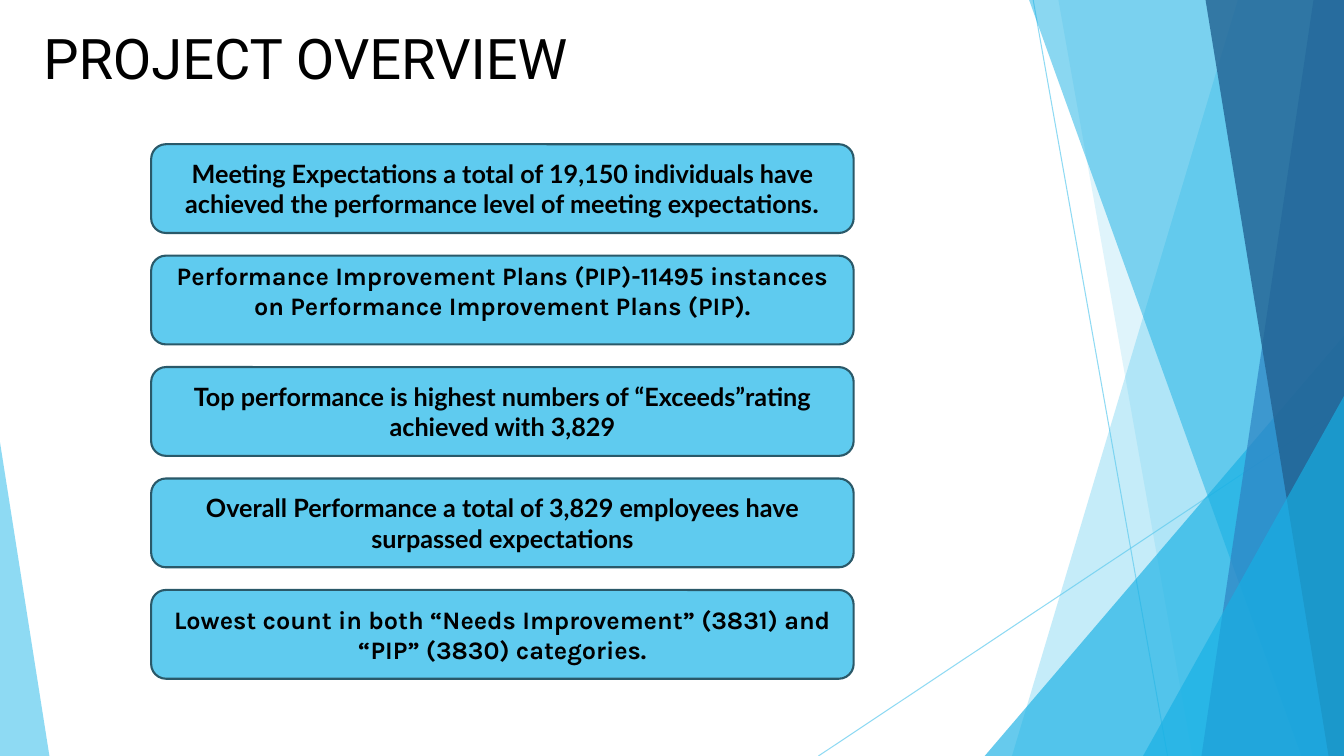
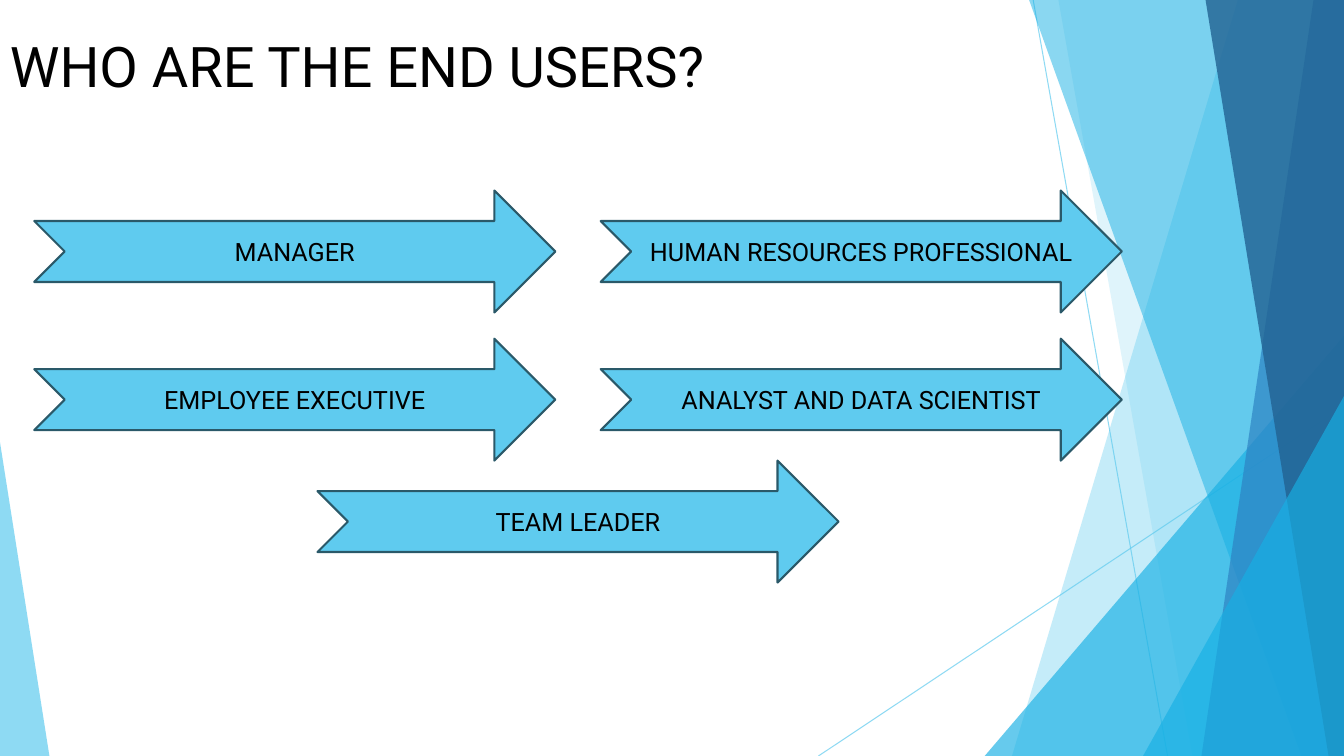
"""Build the project overview and end users slides."""
import lxml.etree
import pptx
import pptx.dml.color
import pptx.enum.shapes
import pptx.enum.text
import pptx.oxml.ns
import pptx.util

Pt = pptx.util.Pt
SHAPES = pptx.enum.shapes.MSO_SHAPE
ANCHOR = pptx.enum.text.MSO_ANCHOR
ALIGN = pptx.enum.text.PP_ALIGN

WIDTH, HEIGHT = 960, 540
SKY, CYAN, BLUE, NAVY = "5FCBEF", "17B0E4", "2E83C3", "226292"
OUTLINE, BLACK = "2A5969", "000000"

RAYS = [(738, 0, 834, 540), (960, 290.2, 584.6, 540)]
FACETS = [
    ("panel", (884.2, 722.9), SKY, 36),
    ("panel", (756, 851.8), SKY, 20),
    ("triangle", (703.4, 239.8, 256.6, 1), CYAN, 66),
    ("panel", (735.1, 929.5), CYAN, 50),
    ("panel", (938.2, 858.2), BLUE, 70),
    ("panel", (861.1, 949), NAVY, 80),
    ("triangle", (816.5, 283, 143.5, 1), CYAN, 66),
    ("triangle", (0, 316, 35.3, 0), SKY, 70),
]

OVERVIEW = ("PROJECT OVERVIEW", (23.8, 13, 562.3, 55.4))
FINDINGS = [
    ([("Meeting Expectations a total of 19,150 individuals have achieved the "
       "performance level of meeting expectations", "Lato"), (".", "Roboto")], ANCHOR.MIDDLE),
    ([("Performance Improvement Plans (PIP)-11495 instances on "
       "Performance Improvement Plans (PIP).", "Karla")], ANCHOR.TOP),
    ([("Top performance is highest numbers of “Exceeds”rating achieved with 3,829",
       "Lato")], ANCHOR.MIDDLE),
    ([("Overall Performance a total of 3,829 employees have surpassed expectations",
       "Lato")], ANCHOR.MIDDLE),
    ([("Lowest count in both “Needs Improvement” (3831) and “PIP” (3830) categories.",
       "Karla")], ANCHOR.MIDDLE),
]
FINDING_LEFT, FINDING_TOP, FINDING_STEP = 108, 103, 79.6
FINDING_SIZE = (501.8, 63.4)

END_USERS = ("WHO ARE THE END USERS?", (0, 18.7, 655.9, 55.4))
USER_ROWS = [
    (136.1, ["MANAGER", "HUMAN RESOURCES PROFESSIONAL"]),
    (241.9, ["EMPLOYEE EXECUTIVE", "ANALYST AND DATA SCIENTIST"]),
    (329, ["TEAM LEADER"]),
]
USER_LEFT, USER_STEP = 24.5, 404.6
USER_SIZE = (372.2, 87.1)


def rgb(value):
    return pptx.dml.color.RGBColor.from_string(value)


def paint(format_, color, opacity=100):
    format_.solid()
    format_.fore_color.rgb = rgb(color)
    if opacity < 100:
        tag = pptx.oxml.ns.qn("a:srgbClr")
        for node in format_._xPr.iter(tag):
            alpha = lxml.etree.SubElement(node, pptx.oxml.ns.qn("a:alpha"))
            alpha.set("val", str(opacity * 1000))


def write(frame, runs, size=18, bold=False, align=ALIGN.CENTER, anchor=ANCHOR.MIDDLE):
    frame.word_wrap = True
    frame.vertical_anchor = anchor
    paragraph = frame.paragraphs[0]
    paragraph.alignment = align
    for words, font in runs:
        run = paragraph.add_run()
        run.text = words
        run.font.name = font
        run.font.size = Pt(size)
        run.font.bold = bold
        run.font.color.rgb = rgb(BLACK)


def add_backdrop(slide):
    backdrop = slide.shapes.add_group_shape().shapes
    for ends in RAYS:
        ray = backdrop.add_connector(pptx.enum.shapes.MSO_CONNECTOR.STRAIGHT, *map(Pt, ends))
        ray.line.width = Pt(0.75)
        paint(ray.line.fill, SKY, 70)
        lxml.etree.SubElement(ray._element.spPr, pptx.oxml.ns.qn("a:effectLst"))
    for kind, geometry, color, opacity in FACETS:
        if kind == "panel":
            top_x, bottom_x = geometry
            outline = backdrop.build_freeform(Pt(top_x), 0)
            corners = [(WIDTH, 0), (WIDTH, HEIGHT), (bottom_x, HEIGHT)]
            outline.add_line_segments([(Pt(x), Pt(y)) for x, y in corners])
            facet = outline.convert_to_shape()
        else:
            left, top, width, apex = geometry
            facet = backdrop.add_shape(SHAPES.ISOSCELES_TRIANGLE, Pt(left), Pt(top),
                                       Pt(width), Pt(HEIGHT - top))
            facet.adjustments[0] = apex
        facet.shadow.inherit = False
        facet.line.fill.background()
        paint(facet.fill, color, opacity)


def start_slide(deck, heading, place):
    slide = deck.slides.add_slide(deck.slide_layouts[6])
    add_backdrop(slide)
    title = slide.shapes.add_textbox(*map(Pt, place))
    write(title.text_frame, [(heading, "Roboto")], size=40, align=ALIGN.LEFT, anchor=ANCHOR.TOP)
    return slide


def add_card(slide, preset, place, runs, **text_format):
    card = slide.shapes.add_shape(preset, *map(Pt, place))
    card.shadow.inherit = False
    paint(card.fill, SKY)
    paint(card.line.fill, OUTLINE)
    card.line.width = Pt(1.5)
    write(card.text_frame, runs, **text_format)
    return card


def main():
    deck = pptx.Presentation()
    deck.slide_width, deck.slide_height = Pt(WIDTH), Pt(HEIGHT)

    overview = start_slide(deck, *OVERVIEW)
    for index, (runs, anchor) in enumerate(FINDINGS):
        place = (FINDING_LEFT, FINDING_TOP + index * FINDING_STEP, *FINDING_SIZE)
        finding = add_card(overview, SHAPES.ROUNDED_RECTANGLE, place, runs,
                           bold=True, anchor=anchor)
        if anchor == ANCHOR.TOP:
            finding.text_frame.margin_top = 0

    end_users = start_slide(deck, *END_USERS)
    for top, users in USER_ROWS:
        indent = USER_STEP * (2 - len(users)) / 2
        for column, user in enumerate(users):
            place = (USER_LEFT + indent + column * USER_STEP, top, *USER_SIZE)
            add_card(end_users, SHAPES.NOTCHED_RIGHT_ARROW, place, [(user, "Roboto")])

    deck.save("out.pptx")


if __name__ == "__main__":
    main()
